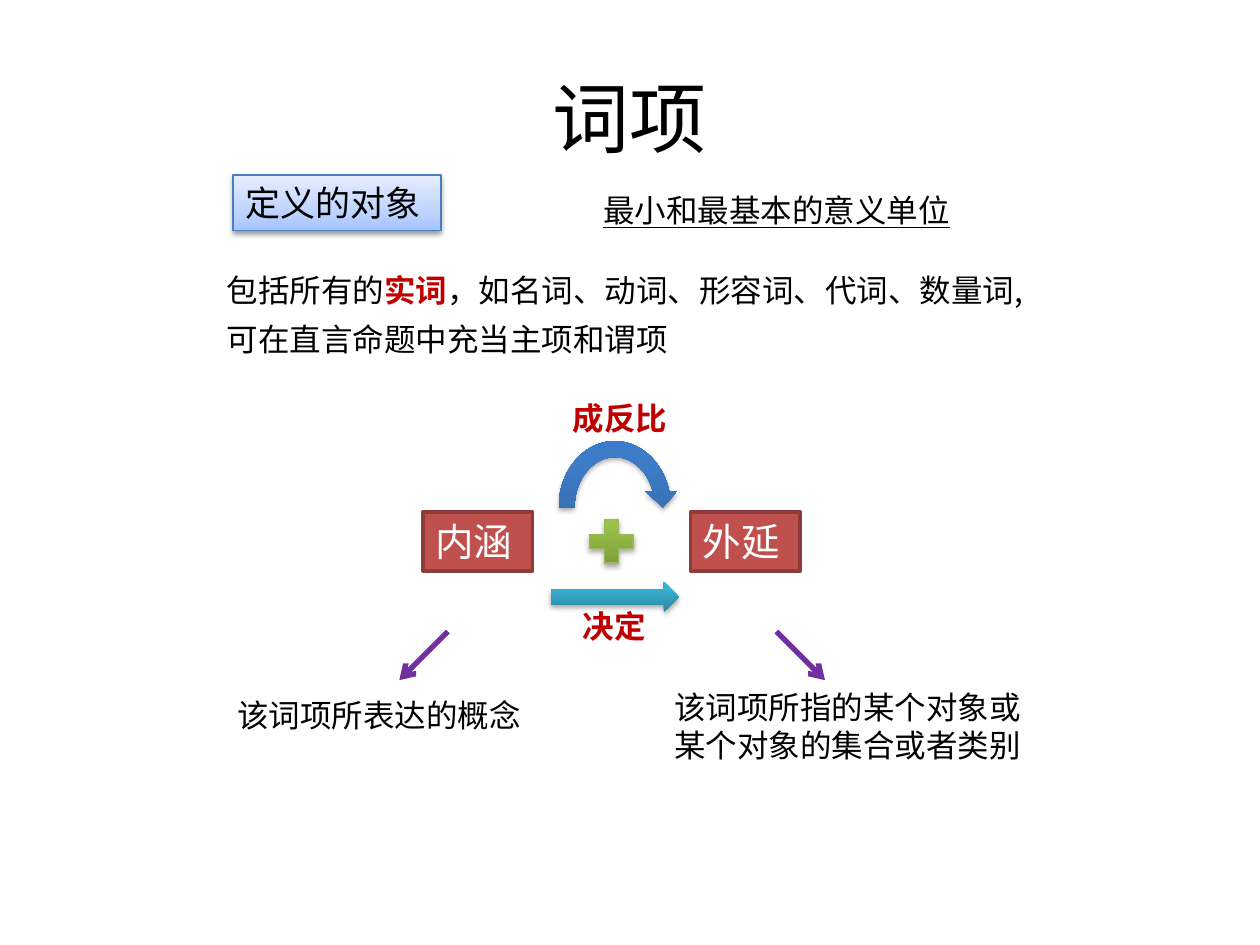
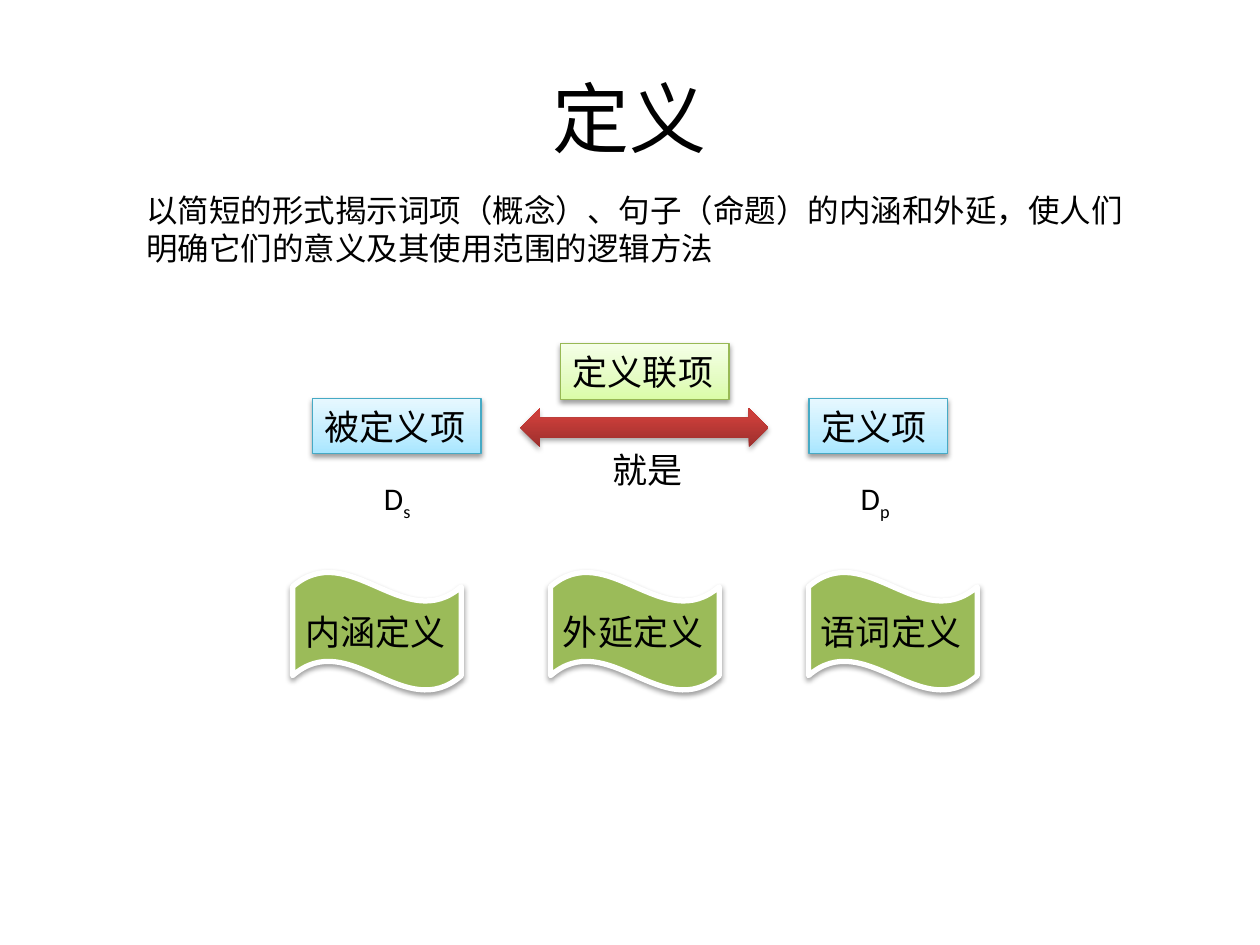
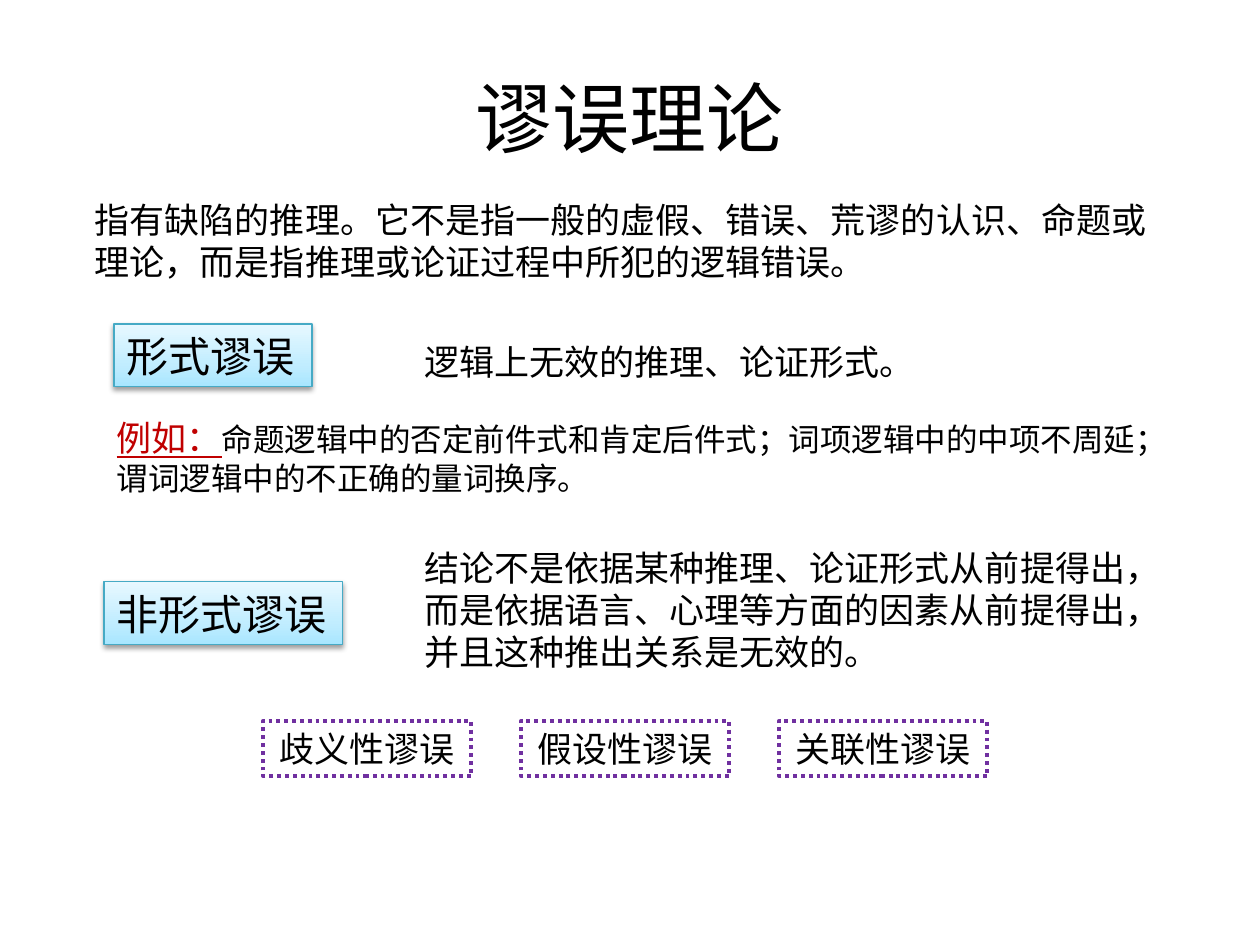
from dataclasses import dataclass

from lxml import etree
from pptx import Presentation
from pptx.dml.color import RGBColor
from pptx.enum.dml import MSO_LINE
from pptx.enum.shapes import MSO_CONNECTOR, MSO_SHAPE
from pptx.enum.text import MSO_ANCHOR, PP_ALIGN
from pptx.oxml.ns import qn
from pptx.util import Cm, Pt

RECTANGLE = MSO_SHAPE.RECTANGLE
PLUS = MSO_SHAPE.MATH_PLUS
RIGHT_ARROW = MSO_SHAPE.RIGHT_ARROW
DOUBLE_ARROW = MSO_SHAPE.LEFT_RIGHT_ARROW
CIRCULAR_ARROW = MSO_SHAPE.CIRCULAR_ARROW
WAVE = MSO_SHAPE.WAVE
STRAIGHT = MSO_CONNECTOR.STRAIGHT
DOTTED = MSO_LINE.ROUND_DOT
LEFT, CENTER = PP_ALIGN.LEFT, PP_ALIGN.CENTER
TOP, MIDDLE = MSO_ANCHOR.TOP, MSO_ANCHOR.MIDDLE

COLOURS = {
    "text": "000000", "white": "FFFFFF", "emphasis": "C00000",
    "purple": "7030A0", "red": "C0504D", "red_edge": "8E3B39",
    "blue_edge": "4B7EBC", "cyan_edge": "46AAC5",
    "green": "9BBB59", "green_edge": "98B955",
}
GRADIENTS = {
    "pale_blue": {0: "A4C4FF", 35: "BFD4FF", 100: "E6EEFF"},
    "pale_cyan": {0: "A7E6FF", 35: "C1EDFF", 100: "E7F8FF"},
    "pale_green": {0: "DAFDA7", 35: "E4FCC2", 100: "F5FFE7"},
    "deep_blue": {0: "2F5F99", 80: "3D7CC7", 100: "3A7CCB"},
    "deep_cyan": {0: "2A88A2", 80: "37B1D2", 100: "34B4D6"},
    "deep_green": {0: "779737", 80: "9BC348", 100: "9DC746"},
    "deep_red": {0: "9C2F2D", 80: "CB3E3A", 100: "CE3B37"},
}
CHINESE, HEADING, LATIN = "Noto Sans CJK SC", "Noto Sans CJK JP", "Calibri"
TITLE_ONLY = 5


@dataclass
class Box:
    """A rectangle in centimetres."""
    left: float
    top: float
    width: float
    height: float

    def inside(self, left, top, width, height):
        """Return a box placed relative to this one."""
        return Box(self.left + left, self.top + top, width, height)

    def lengths(self):
        """Return left, top, width and height as lengths."""
        return Cm(self.left), Cm(self.top), Cm(self.width), Cm(self.height)


@dataclass
class Run:
    """A stretch of text with one format."""
    text: str
    size: float = 18
    colour: str = "text"
    font: str = CHINESE
    bold: bool = False
    underline: bool = False
    subscript: bool = False


TITLE_BOX = Box(1.27, 0.76, 22.86, 3.18)


def colour_of(name):
    """Return a named colour."""
    return RGBColor.from_string(COLOURS[name])


def write(shape, paragraphs, align=LEFT, anchor=TOP, spacing=1.0):
    """Fill a shape with paragraphs, each a list of runs."""
    frame = shape.text_frame
    frame.word_wrap = True
    frame.vertical_anchor = anchor
    for index, runs in enumerate(paragraphs):
        paragraph = frame.add_paragraph() if index else frame.paragraphs[0]
        paragraph.alignment = align
        paragraph.line_spacing = spacing
        for item in runs:
            run = paragraph.add_run()
            run.text = item.text
            font = run.font
            font.size = Pt(item.size)
            font.bold = item.bold
            font.underline = item.underline
            font.color.rgb = colour_of(item.colour)
            font.name = item.font
            properties = run._r.get_or_add_rPr()
            etree.SubElement(properties, qn("a:ea"), typeface=item.font)
            if item.subscript:
                properties.set("baseline", "-25000")


def add_text(slide, box, *paragraphs, spacing=1.0):
    """Add a text box."""
    shape = slide.shapes.add_textbox(*box.lengths())
    write(shape, paragraphs, spacing=spacing)


def fill_gradient(shape, stops):
    """Fill a shape with a gradient that rises from its lower edge."""
    shape.fill.gradient()
    shape.fill.gradient_angle = 90
    stop_list = shape._element.spPr.find(qn("a:gradFill")).find(qn("a:gsLst"))
    for stop in list(stop_list):
        stop_list.remove(stop)
    for position, value in stops.items():
        stop = etree.SubElement(stop_list, qn("a:gs"), pos=str(position * 1000))
        etree.SubElement(stop, qn("a:srgbClr"), val=value)


def add_shadow(shape, opacity):
    """Give a shape a soft shadow below it."""
    effects = shape._element.spPr.find(qn("a:effectLst"))
    shadow = etree.SubElement(
        effects, qn("a:outerShdw"), blurRad=str(Pt(3.1)), dist=str(Pt(1.7)),
        dir="5400000", rotWithShape="0")
    colour = etree.SubElement(shadow, qn("a:srgbClr"), val=COLOURS["text"])
    etree.SubElement(colour, qn("a:alpha"), val=str(opacity * 1000))


def add_figure(slide, kind, box, fill=None, edge=None, edge_width=0.75,
               shadow=0, run=None, align=LEFT):
    """Add a preset shape, with a run of text if one is given."""
    shape = slide.shapes.add_shape(kind, *box.lengths())
    shape.shadow.inherit = False
    if fill in GRADIENTS:
        fill_gradient(shape, GRADIENTS[fill])
    elif fill:
        shape.fill.solid()
        shape.fill.fore_color.rgb = colour_of(fill)
    else:
        shape.fill.background()
    if edge:
        shape.line.color.rgb = colour_of(edge)
        shape.line.width = Pt(edge_width)
    else:
        shape.line.fill.background()
    if shadow:
        add_shadow(shape, shadow)
    if run:
        write(shape, [[run]], align, MIDDLE)
    return shape


def add_tag(slide, box, text, size=20, fill="pale_cyan", edge="cyan_edge"):
    """Add a pale label with a shadow."""
    add_figure(slide, RECTANGLE, box, fill, edge, shadow=38, run=Run(text, size))


def add_pointer(slide, box, run, rise):
    """Add a purple arrow from the top left of a box."""
    connector = slide.shapes.add_connector(
        STRAIGHT, Cm(box.left), Cm(box.top),
        Cm(box.left + run), Cm(box.top + rise))
    connector.line.color.rgb = colour_of("purple")
    connector.line.width = Pt(3)
    etree.SubElement(connector.line._get_or_add_ln(), qn("a:tailEnd"), type="arrow")
    etree.SubElement(connector._element.spPr, qn("a:effectLst"))


def add_titled_slide(presentation, text):
    """Add a slide with its title."""
    slide = presentation.slides.add_slide(presentation.slide_layouts[TITLE_ONLY])
    title = slide.shapes.title
    title.left, title.top, title.width, title.height = TITLE_BOX.lengths()
    write(title, [[Run(text, 44, font=HEADING)]], CENTER, MIDDLE)
    return slide


def place_term_introduction(slide, box):
    """Place what a term is and which words it covers."""
    add_tag(slide, box.inside(0.38, 0, 4.19, 1.12), "定义的对象",
            fill="pale_blue", edge="blue_edge")
    add_text(slide, box.inside(7.59, 0.2, 8.2, 1.02),
             [Run("最小和最基本的意义单位", underline=True)])
    add_text(slide, box.inside(0, 1.58, 18.21, 2.26),
             [Run("包括所有的"), Run("实词", colour="emphasis", bold=True),
              Run("，如名词、动词、形容词、代词、数量词,")],
             [Run("可在直言命题中充当主项和谓项")], spacing=1.3)


def place_term_relation(slide, box):
    """Place intension and extension with the arrows between them."""
    for left, text in ((0, "内涵"), (5.39, "外延")):
        add_figure(slide, RECTANGLE, box.inside(left, 2.4, 2.21, 1.19),
                   "red", "red_edge", 2, run=Run(text, 22, "white", HEADING))
    add_figure(slide, PLUS, box.inside(3.2, 2.4, 1.19, 1.19),
               "deep_green", "green_edge", shadow=35)
    add_figure(slide, RIGHT_ARROW, box.inside(2.57, 3.81, 2.59, 0.61),
               "deep_cyan", shadow=35)
    add_figure(slide, CIRCULAR_ARROW, box.inside(2.57, 0.81, 2.59, 3),
               "deep_blue", shadow=35)
    for left, top, text in ((2.97, 4.19, "决定"), (2.77, 0, "成反比")):
        add_text(slide, box.inside(left, top, 4.19, 1.02),
                 [Run(text, colour="emphasis", font=HEADING, bold=True)])


def place_term_meanings(slide, box):
    """Place the explanations of intension and extension."""
    add_pointer(slide, box.inside(4.5, 0, 0, 0), -0.98, 0.98)
    add_pointer(slide, box.inside(11.12, 0, 0, 0), 0.98, 0.98)
    add_text(slide, box.inside(0, 1.17, 7.19, 1.02), [Run("该词项所表达的概念")])
    add_text(slide, box.inside(8.81, 1.02, 7.8, 1.8),
             [Run("该词项所指的某个对象或某个对象的集合或者类别")])


def place_definition_formula(slide, box):
    """Place the two sides of a definition and what joins them."""
    add_tag(slide, box.inside(0, 1.1, 3.4, 1.12), "被定义项")
    add_tag(slide, box.inside(10.01, 1.1, 2.79, 1.12), "定义项")
    add_figure(slide, DOUBLE_ARROW, box.inside(4.19, 1.3, 5, 0.79),
               "deep_red", shadow=35)
    add_tag(slide, box.inside(5, 0, 3.4, 1.12), "定义联项",
            fill="pale_green", edge="green_edge")
    for left, letter in ((1.19, "s"), (10.8, "p")):
        add_text(slide, box.inside(left, 2.6, 2.39, 1.02),
                 [Run("D", font=LATIN), Run(letter, font=LATIN, subscript=True)])
    add_text(slide, box.inside(5.79, 1.98, 2.39, 1.12),
             [Run("就是", 20, font=HEADING)])


def place_definition_kinds(slide, box):
    """Place the kinds of definition in a row of waves."""
    for index, text in enumerate(("内涵定义", "外延定义", "语词定义")):
        add_figure(slide, WAVE, box.inside(index * 5.2, 0, 3.4, box.height),
                   "green", "white", 3, 38, Run(text, 20, font=HEADING))


def place_fallacies(slide, box):
    """Place formal and informal fallacies with their explanations."""
    add_tag(slide, box.inside(0.2, 0, 3.99, 1.27), "形式谬误", 24)
    add_text(slide, box.inside(6.2, 0.2, 9.8, 1.12),
             [Run("逻辑上无效的推理、论证形式。", 20)])
    add_text(slide, box.inside(0, 1.75, box.width, 2.64),
             [Run("例如：", 20, "emphasis", underline=True),
              Run("命题逻辑中的否定前件式和肯定后件式；词项逻辑中的中项不周延；"
                  "谓词逻辑中的不正确的量词换序。")])
    add_tag(slide, box.inside(0, 5.2, 4.8, 1.27), "非形式谬误", 24)
    add_text(slide, box.inside(6.2, 4.37, 15.6, 2.82),
             [Run("结论不是依据某种推理、论证形式从前提得出，而是依据语言、心理等方面的"
                  "因素从前提得出，并且这种推出关系是无效的。", 20)])


def place_fallacy_kinds(slide, box):
    """Place the kinds of informal fallacy in a row of dotted frames."""
    for index, text in enumerate(("歧义性谬误", "假设性谬误", "关联性谬误")):
        frame = add_figure(slide, RECTANGLE,
                           box.inside(index * 5.2, 0, 4.19, box.height),
                           edge="purple", edge_width=2.25,
                           run=Run(text, 20), align=CENTER)
        frame.line.dash_style = DOTTED


def main():
    """Build the presentation."""
    presentation = Presentation()
    presentation.slide_width = Cm(25.4)
    presentation.slide_height = Cm(19.05)

    slide = add_titled_slide(presentation, "词项")
    place_term_introduction(slide, Box(4.32, 3.53, 18.21, 3.84))
    place_term_relation(slide, Box(8.53, 7.92, 7.6, 5.21))
    place_term_meanings(slide, Box(4.53, 12.73, 16.61, 2.82))

    slide = add_titled_slide(presentation, "定义")
    add_text(slide, Box(2.7, 3.73, 20.4, 1.8),
             [Run("以简短的形式揭示词项（概念）、句子（命题）的内涵和外延，"
                  "使人们明确它们的意义及其使用范围的逻辑方法")])
    place_definition_formula(slide, Box(6.3, 6.93, 12.8, 3.62))
    place_definition_kinds(slide, Box(5.9, 11.53, 13.8, 2.39))

    slide = add_titled_slide(presentation, "谬误理论")
    add_text(slide, Box(1.66, 3.88, 21.92, 2.2),
             [Run("指有缺陷的推理。它不是指一般的虚假、错误、荒谬的认识、命题或理论，"
                  "而是指推理或论证过程中所犯的逻辑错误。", 20)])
    place_fallacies(slide, Box(2.1, 6.53, 21.8, 7.19))
    place_fallacy_kinds(slide, Box(5.31, 14.53, 14.59, 1.12))

    presentation.save("out.pptx")


if __name__ == "__main__":
    main()
